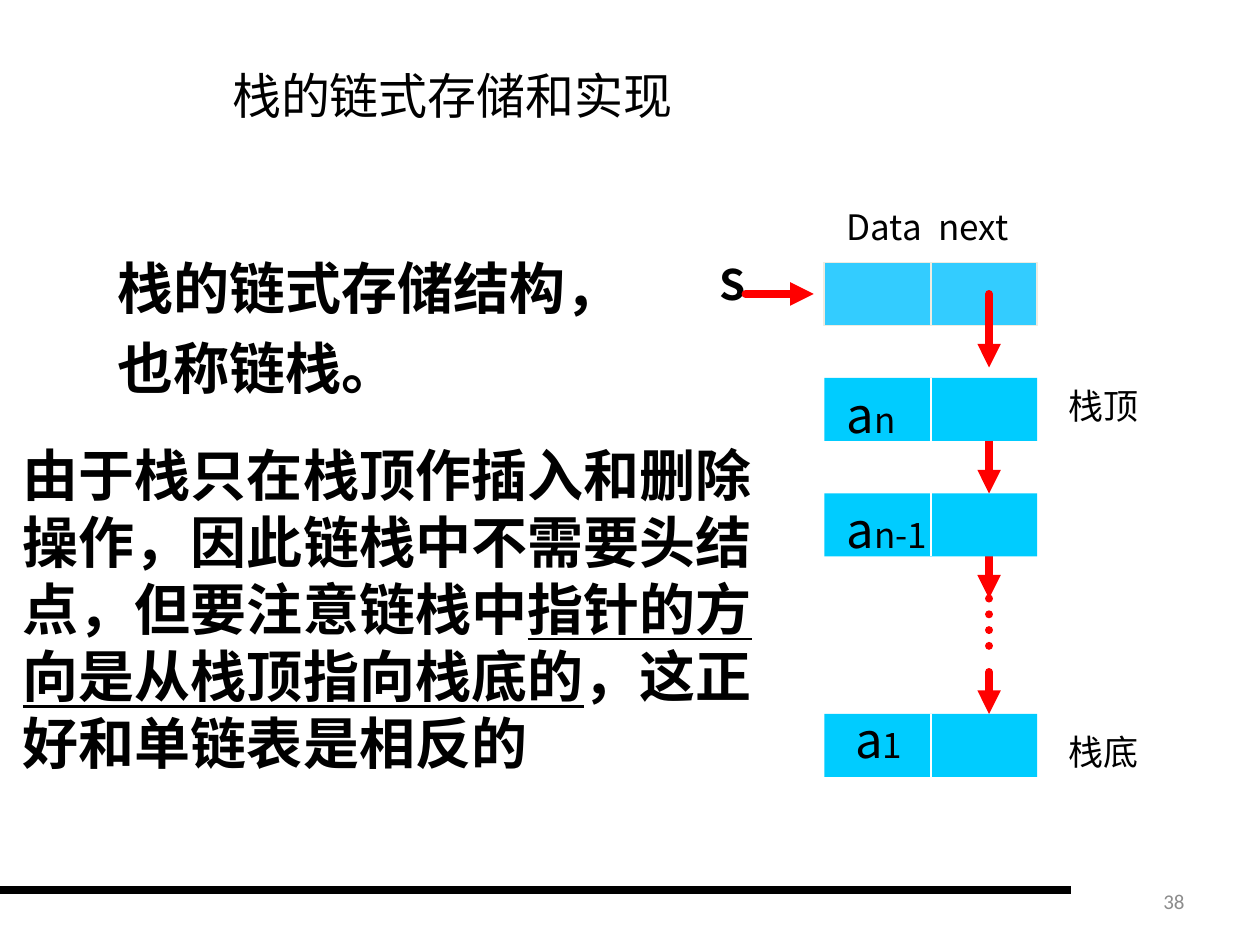
from lxml.etree import SubElement
from pptx import Presentation
from pptx.dml.color import RGBColor
from pptx.enum.dml import MSO_LINE
from pptx.enum.shapes import MSO_CONNECTOR, MSO_SHAPE
from pptx.enum.text import MSO_ANCHOR, PP_ALIGN
from pptx.oxml.ns import qn
from pptx.util import Pt

COLORS = {"ink": "000000", "number": "8C8C8C", "arrow": "FF0000", "head": "33CCFF",
          "node": "00CCFF", "head_edge": "EEECE1", "divider": "FFFFFF"}
CJK, TITLE_FONT, NUMBER_FONT = "Noto Sans CJK SC", "Times New Roman", "Calibri"


def rgb(name):
    """Return the named colour."""
    return RGBColor.from_string(COLORS[name])


def style(paragraph, size, face=CJK, color="ink", bold=False):
    """Set the font of a whole paragraph, East Asian face included."""
    font = paragraph.font
    font.size, font.name, font.bold = Pt(size), face, bold
    font.color.rgb = rgb(color)
    defaults = paragraph._p.pPr.find(qn("a:defRPr"))
    SubElement(defaults, qn("a:ea"), typeface=CJK)


def add_text(slide, box, runs, size, spacing=1.2, anchor=MSO_ANCHOR.TOP, tab=None, **look):
    """Add a text box; each run is its text, size or None, and underline flag."""
    frame = slide.shapes.add_textbox(*map(Pt, box)).text_frame
    frame.word_wrap = True
    frame.vertical_anchor = anchor
    paragraph = frame.paragraphs[0]
    paragraph.line_spacing = Pt(round(size * spacing, 1))
    if tab:
        stops = SubElement(paragraph._p.get_or_add_pPr(), qn("a:tabLst"))
        SubElement(stops, qn("a:tab"), pos=str(Pt(tab)), algn="l")
    style(paragraph, size, **look)
    for text, run_size, underline in runs:
        run = paragraph.add_run()
        run.text = text
        if run_size:
            run.font.size = Pt(run_size)
        if underline:
            run.font.underline = True
    return paragraph


def add_line(slide, start, end, color, width):
    """Add a straight line without a shadow."""
    line = slide.shapes.add_connector(MSO_CONNECTOR.STRAIGHT, *map(Pt, (*start, *end)))
    line.line.color.rgb = rgb(color)
    line.line.width = Pt(width)
    SubElement(line._element.spPr, qn("a:effectLst"))
    return line


def add_pointer(slide, start, end, dotted=False):
    """Add a red pointer with an arrowhead, or a dotted stretch without one."""
    pointer = add_line(slide, start, end, "arrow", 4.5)
    if dotted:
        pointer.line.dash_style = MSO_LINE.ROUND_DOT
    outline = pointer.line._get_or_add_ln()
    outline.set("cap", "rnd")
    SubElement(outline, qn("a:round"))
    if not dotted:
        SubElement(outline, qn("a:tailEnd"), type="triangle")


def add_node(slide, box, fill, divider, edge=None):
    """Add a two-cell list node."""
    left, top, width, height = box
    node = slide.shapes.add_shape(MSO_SHAPE.RECTANGLE, *map(Pt, box))
    node.shadow.inherit = False
    node.fill.solid()
    node.fill.fore_color.rgb = rgb(fill)
    if edge:
        node.line.color.rgb = rgb(edge)
        node.line.width = Pt(1)
    else:
        node.line.fill.background()
    middle = left + width / 2
    add_line(slide, (middle, top), (middle, top + height), divider, 1)


def add_title(slide, box):
    """Place and format the title placeholder."""
    title = slide.shapes.title
    title.left, title.top, title.width, title.height = map(Pt, box)
    frame = title.text_frame
    frame.text = "栈的链式存储和实现"
    frame.vertical_anchor = MSO_ANCHOR.MIDDLE
    frame.paragraphs[0].alignment = PP_ALIGN.CENTER
    style(frame.paragraphs[0], 28, TITLE_FONT)


def add_explanation(slide, box):
    """Add the definition and the remark on pointer direction."""
    left, top, width, height = box
    add_text(slide, (left + 54, top, 306, 94), [("栈的链式存储结构，也称链栈。", None, False)],
             32, 1.43, bold=True)
    remark = [("由于栈只在栈顶作插入和删除操作，因此链栈中不需要头结点，但要注意链栈中", None, False),
              ("指针的方向是从栈顶指向栈底的", None, True),
              ("，这正好和单链表是相反的", None, False)]
    add_text(slide, (left, top + height - 201, width, 201), remark, 32,
             anchor=MSO_ANCHOR.MIDDLE, bold=True)


def add_linked_stack(slide, box):
    """Draw the linked stack from its head pointer down to the bottom node."""
    left, top, width, height = box
    node_left, node_width, node_height, step = left + 67, 121.7, 36, 66
    head_top = top + 36
    link_x = left + 161.2

    add_text(slide, (left + 72.7, top, 155, 31), [("Data\tnext", None, False)], 20, tab=52.5)
    add_text(slide, (left, top + 30, 50, 36), [("S", None, False)], 24, bold=True)
    add_node(slide, (node_left, head_top, node_width, node_height), "head", "head_edge", "head_edge")

    head_middle = head_top + node_height / 2
    add_pointer(slide, (left + 22, head_middle), (left + 61, head_middle))
    links = [(18, 60), (90, 132), (150, 192), (234, 258)]
    for start, end in links:
        add_pointer(slide, (link_x, head_top + start), (link_x, head_top + end))
    add_pointer(slide, (link_x, head_top + 192), (link_x, head_top + 228), dotted=True)

    last_top = head_top + links[-1][1]
    nodes = [(head_top + step, "n", (5.7, 0), "栈顶", 0),
             (head_top + 2 * step, "n-1", (5.7, 0), None, 0),
             (last_top, "1", (10.7, -6), "栈底", 6)]
    for node_top, index, (shift_x, shift_y), name, name_shift in nodes:
        add_node(slide, (node_left, node_top, node_width, node_height), "node", "divider")
        add_text(slide, (node_left + shift_x, node_top + shift_y, 61, 41),
                 [("a", None, False), (index, 20, False)], 28)
        if name:
            add_text(slide, (left + 199.5, node_top + name_shift, 72, 31),
                     [(name, None, False)], 20)


def add_footer(slide, box):
    """Add the footer rule and the slide number."""
    left, top, width, height = box
    add_line(slide, (left, top + 8), (left + 612, top + 8), "ink", 4.5)
    number = add_text(slide, (left + width - 204, top, 168, height), [("38", None, False)], 12,
                      anchor=MSO_ANCHOR.MIDDLE, face=NUMBER_FONT, color="number")
    number.alignment = PP_ALIGN.RIGHT


def main():
    """Build and save the slide."""
    deck = Presentation()
    deck.slide_width, deck.slide_height = Pt(720), Pt(540)
    slide = deck.slides.add_slide(deck.slide_layouts[5])
    add_title(slide, (48, 30, 421, 49))
    add_explanation(slide, (6, 134, 450, 314))
    add_linked_stack(slide, (404, 114, 271, 331))
    add_footer(slide, (0, 500.5, 720, 29))
    deck.save("out.pptx")


if __name__ == "__main__":
    main()
